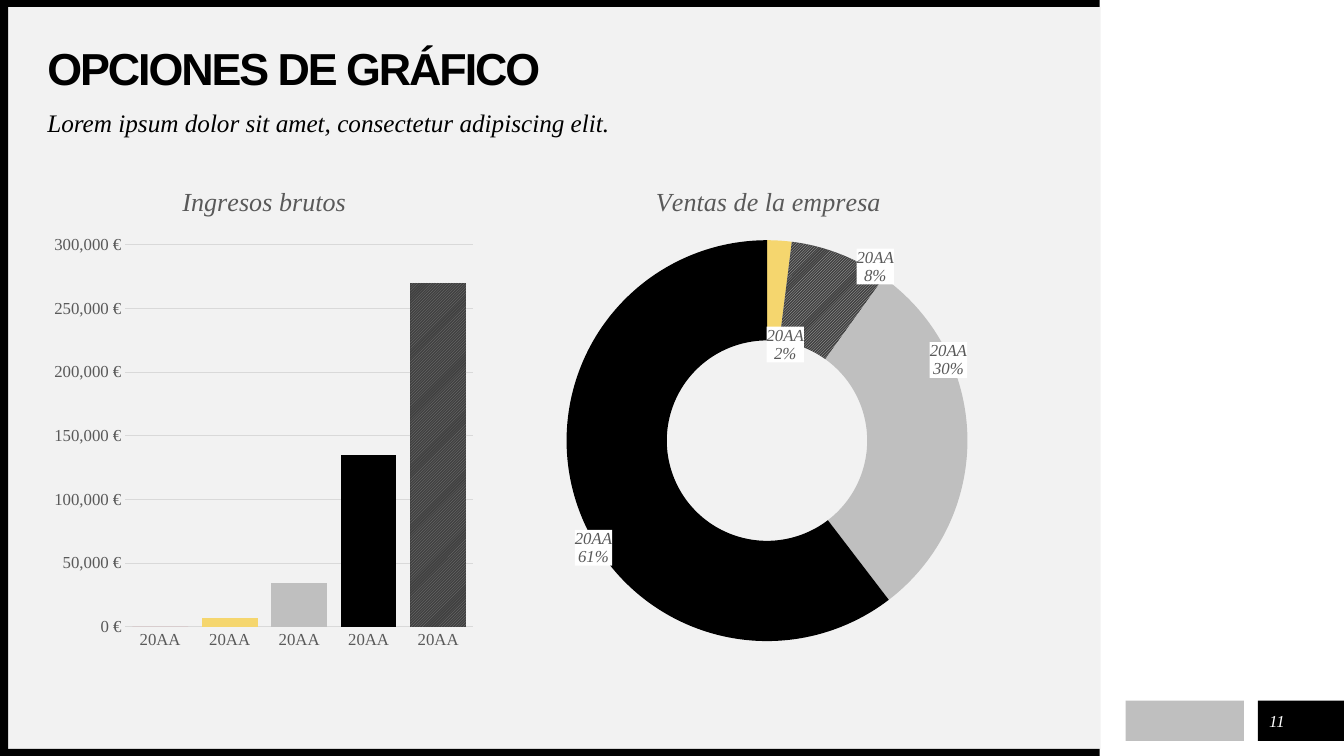
from dataclasses import dataclass, field

from pptx import Presentation
from pptx.chart.chart import Chart
from pptx.chart.data import CategoryChartData
from pptx.dml.color import RGBColor
from pptx.dml.fill import FillFormat
from pptx.enum.chart import XL_CHART_TYPE, XL_TICK_MARK
from pptx.enum.dml import MSO_PATTERN
from pptx.enum.text import MSO_ANCHOR, PP_ALIGN
from pptx.oxml import parse_xml
from pptx.oxml.ns import nsdecls, qn
from pptx.util import Pt

SERIF = "Times New Roman"
BLACK, GREY, RULE = "000000", "595959", "D9D9D9"
PINK, GOLD, SILVER = "D78189", "F5D66E", "BFBFBF"


@dataclass
class Box:
    x: float
    y: float
    w: float
    h: float

    def span(self) -> list:
        return [Pt(v) for v in (self.x, self.y, self.w, self.h)]


@dataclass
class Block:
    box: Box
    fill: str = BLACK


@dataclass
class Label:
    box: Box
    text: str
    size: float
    font: str = SERIF
    ink: str = BLACK
    bold: bool = False
    italic: bool = False
    align: PP_ALIGN = PP_ALIGN.LEFT
    anchor: MSO_ANCHOR = MSO_ANCHOR.TOP
    pitch: float = 0.9
    track: float = 0


@dataclass
class Graph:
    kind: XL_CHART_TYPE
    box: Box
    title: str
    head: tuple  # title corner, as shares of the chart
    plot: tuple  # plot area, as shares of the chart
    vals: list
    fills: list  # a colour, or a (front, back) pair for a pattern
    shifts: dict = field(default_factory=dict)  # label moves by point


BLOCKS = [
    Block(Box(5.76, 5.04, 780.5, 530), "F2F2F2"),
    Block(Box(898.5, 500.4, 61.5, 28.8)),
    Block(Box(804, 500.4, 84.5, 28.8), SILVER),
    Block(Box(0, 535, 785.5, 5)),
    Block(Box(0, 0, 785.5, 5)),
    Block(Box(0, 2.5, 5.8, 537.5)),
]
LABELS = [
    Label(Box(33.8, 33.8, 724.3, 33.8), "OPCIONES DE GRÁFICO", 32, "Arial",
          bold=True, anchor=MSO_ANCHOR.MIDDLE, track=-1.5),
    Label(Box(33.8, 79.2, 892.8, 28),
          "Lorem ipsum dolor sit amet, consectetur adipiscing elit.", 18, italic=True),
    Label(Box(901.4, 504, 21.6, 21.6), "11", 12, ink="FFFFFF", italic=True,
          align=PP_ALIGN.CENTER, anchor=MSO_ANCHOR.MIDDLE, pitch=1.0),
]
GRAPHS = [
    Graph(XL_CHART_TYPE.COLUMN_CLUSTERED, Box(33.8, 118.8, 310.3, 350),
          "Ingresos brutos", (0.3, 0.03), (0.18, 0.16, 0.8, 0.78),
          [0, 7000, 34000, 135000, 270000],
          [PINK, GOLD, SILVER, BLACK, ("808080", "404040")]),
    Graph(XL_CHART_TYPE.DOUGHNUT, Box(388.8, 118.8, 318.2, 350),
          "Ventas de la empresa", (0.24, 0.03), (0.05, 0.15, 0.9, 0.82),
          [0, 2, 8, 30, 61],
          [PINK, GOLD, (SILVER, "404040"), SILVER, BLACK],
          {1: (0.02, 0.11), 2: (0.12, -0.07), 3: (0.07, -0.16), 4: (-0.07, 0.12)}),
]


def tint(code: str) -> RGBColor:
    return RGBColor.from_string(code)


def paint(fill: FillFormat, ink) -> None:
    if isinstance(ink, str):
        fill.solid()
        fill.fore_color.rgb = tint(ink)
    else:
        fill.patterned()
        fill.pattern = MSO_PATTERN.DARK_UPWARD_DIAGONAL
        fill.fore_color.rgb, fill.back_color.rgb = map(tint, ink)


def style(font, name: str, size: float, code: str, bold=False, italic=False) -> None:
    font.name, font.size, font.bold, font.italic = name, Pt(size), bold, italic
    font.color.rgb = tint(code)


def draw_block(shapes, item: Block) -> None:
    shape = shapes.add_shape(1, *item.box.span())
    shape.shadow.inherit = False
    paint(shape.fill, item.fill)
    shape.line.fill.background()


def draw_label(shapes, item: Label) -> None:
    frame = shapes.add_textbox(*item.box.span()).text_frame
    frame.word_wrap = True
    frame.vertical_anchor = item.anchor
    frame.margin_left = frame.margin_right = frame.margin_top = frame.margin_bottom = 0
    para = frame.paragraphs[0]
    para.alignment, para.line_spacing = item.align, item.pitch
    style(para.font, item.font, item.size, item.ink, item.bold, item.italic)
    run = para.add_run()
    run.text = item.text
    if item.track:
        run._r.get_or_add_rPr().set("spc", str(round(item.track * 100)))


def layout(spot: tuple, edge: bool = True, inner: bool = False) -> str:
    tags = [("layoutTarget", "inner")] if inner else []
    tags += [("xMode", "edge"), ("yMode", "edge")] if edge else []
    tags += zip("xywh", spot)
    body = "".join(f'<c:{tag} val="{val}"/>' for tag, val in tags)
    return f'<c:layout {nsdecls("c")}><c:manualLayout>{body}</c:manualLayout></c:layout>'


def place(node, index: int, text: str) -> None:
    for old in node.findall(qn("c:layout")):
        node.remove(old)
    node.insert(index, parse_xml(text))


def set_axes(chart: Chart) -> None:
    chart.plots[0].gap_width = 25
    cat, val = chart.category_axis, chart.value_axis
    for axis in (cat, val):
        axis.major_tick_mark = axis.minor_tick_mark = XL_TICK_MARK.NONE
        style(axis.tick_labels.font, SERIF, 12, GREY)
    val.minimum_scale, val.maximum_scale, val.major_unit = 0, 300000, 50000
    val.tick_labels.number_format = "#,##0\\ [$€-C0A]"
    val.tick_labels.number_format_is_linked = False
    val.format.line.fill.background()
    for line in (cat.format.line, val.major_gridlines.format.line):
        line.width = Pt(0.75)
        line.color.rgb = tint(RULE)


def set_ring(chart: Chart, item: Graph) -> None:
    plot = chart.plots[0]
    plot._element.find(qn("c:holeSize")).set("val", "90")
    # Labels: category over share, on white
    look = (
        '<c:spPr><a:solidFill><a:srgbClr val="FFFFFF"/></a:solidFill></c:spPr>'
        '<c:txPr><a:bodyPr/><a:p><a:pPr><a:defRPr sz="1200" b="0" i="1"><a:solidFill>'
        f'<a:srgbClr val="{GREY}"/></a:solidFill><a:latin typeface="{SERIF}"/>'
        '</a:defRPr></a:pPr><a:endParaRPr lang="es-ES"/></a:p></c:txPr>'
    )
    flags = {"LegendKey": 0, "Val": 0, "CatName": 1, "SerName": 0, "Percent": 1, "BubbleSize": 0}
    look += "".join(f'<c:show{tag} val="{on}"/>' for tag, on in flags.items())
    look += "<c:separator>\n</c:separator>"
    tags = '<c:dLbl><c:idx val="0"/><c:delete val="1"/></c:dLbl>'
    for i, shift in item.shifts.items():
        # Rounded values add up to 101, so each label states its own share
        form = f'<c:numFmt formatCode="&quot;{item.vals[i]}%&quot;" sourceLinked="0"/>'
        tags += f'<c:dLbl><c:idx val="{i}"/>{layout(shift, edge=False)}{form}{look}</c:dLbl>'
    labels = parse_xml(f'<c:dLbls {nsdecls("c", "a")}>{tags}{look}'
                       '<c:showLeaderLines val="0"/></c:dLbls>')
    for old in plot._element.findall(qn("c:dLbls")):
        plot._element.remove(old)
    plot.series[0]._element.find(qn("c:cat")).addprevious(labels)


def draw_graph(shapes, item: Graph) -> None:
    data = CategoryChartData()
    data.categories = ["20AA"] * len(item.vals)
    data.add_series("Series 1", item.vals)
    chart = shapes.add_chart(item.kind, *item.box.span(), data).chart
    style(chart.font, SERIF, 10, BLACK)
    chart.has_legend = False
    # Title and plot area
    chart.has_title = True
    para = chart.chart_title.text_frame.paragraphs[0]
    para.text = item.title
    style(para.font, SERIF, 18.6, GREY, italic=True)
    place(chart.chart_title._element, 1, layout(item.head))
    place(chart._chartSpace.chart.plotArea, 0, layout(item.plot, inner=True))
    # Points
    series = chart.plots[0].series[0]
    chart.plots[0].vary_by_categories = item.kind == XL_CHART_TYPE.DOUGHNUT
    for i, ink in enumerate(item.fills):
        form = series.points[i].format
        paint(form.fill, ink)
        form.line.fill.background()
    if item.shifts:
        set_ring(chart, item)
    else:
        paint(series.format.fill, PINK)
        set_axes(chart)


def main() -> None:
    deck = Presentation()
    deck.slide_width, deck.slide_height = Pt(960), Pt(540)
    shapes = deck.slides.add_slide(deck.slide_layouts[6]).shapes
    for draw, items in ((draw_block, BLOCKS), (draw_label, LABELS), (draw_graph, GRAPHS)):
        for item in items:
            draw(shapes, item)
    deck.save("out.pptx")


if __name__ == "__main__":
    main()
